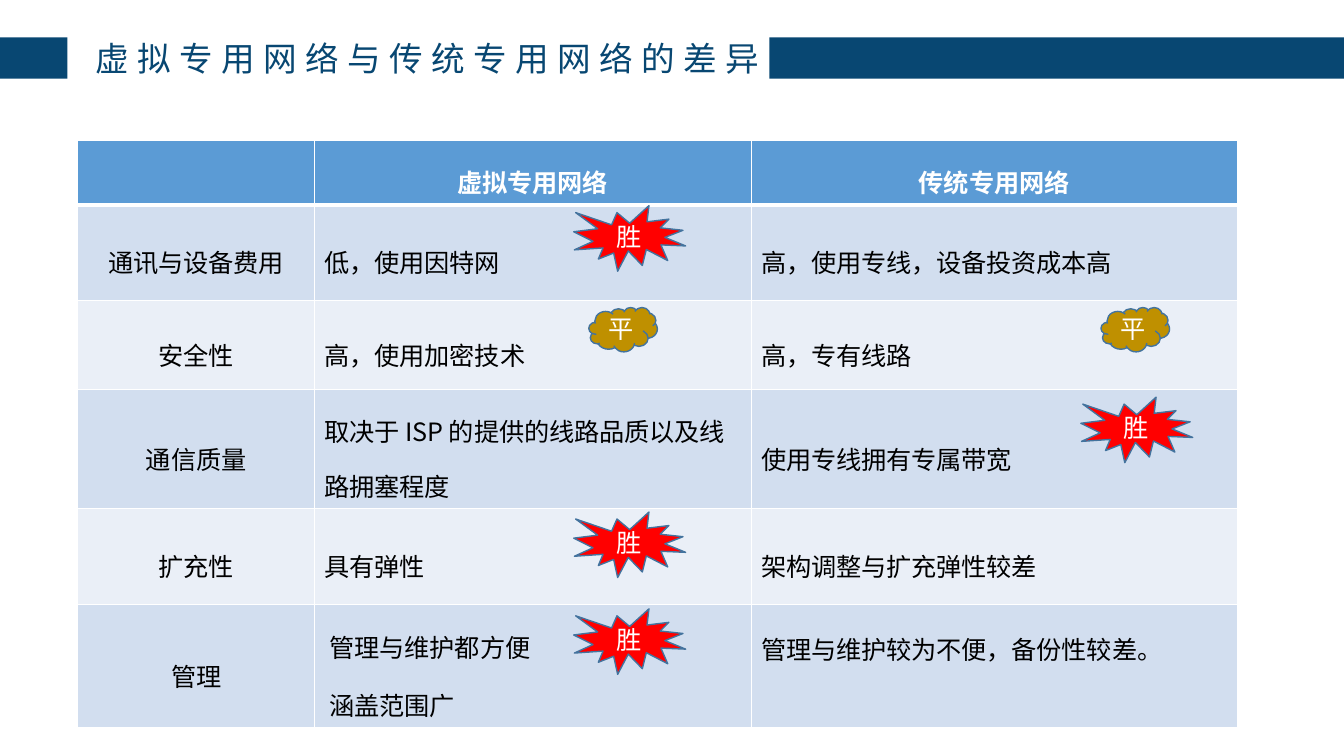
from itertools import accumulate
from lxml.etree import SubElement
from pptx import Presentation
from pptx.dml.color import RGBColor
from pptx.enum.shapes import MSO_SHAPE as Shape
from pptx.enum.text import MSO_ANCHOR as Anchor, MSO_AUTO_SIZE as AutoSize, PP_ALIGN as Align
from pptx.oxml.ns import qn
from pptx.util import Inches, Pt

# Content
TITLE = "虚拟专用网络与传统专用网络的差异"
ROWS = [
    ("", "虚拟专用网络", "传统专用网络"),
    ("通讯与设备费用", "低，使用因特网", "高，使用专线，设备投资成本高"),
    ("安全性", "高，使用加密技术", "高，专有线路"),
    ("通信质量", "取决于 ISP 的提供的线路品质以及线路拥塞程度", "使用专线拥有专属带宽"),
    ("扩充性", "具有弹性", "架构调整与扩充弹性较差"),
    ("管理", "管理与维护都方便\n涵盖范围广", "管理与维护较为不便，备份性较差。"),
]
# Verdict, row, column, and offset from the corner of that cell
VERDICTS = [
    ("胜", 1, 1, 2.57, 0.01),
    ("胜", 5, 1, 2.57, 0.05),
    ("胜", 4, 1, 2.57, 0.04),
    ("胜", 3, 2, 3.27, 0.08),
    ("平", 2, 1, 2.72, 0.07),
    ("平", 2, 2, 3.47, 0.07),
]

# Layout
WIDTH, HEIGHT = 13.33, 7.5
LEFT, TOP = 0.77, 1.39
COLUMN_WIDTHS = [2.35, 4.33, 4.82]
ROW_HEIGHTS = [0.64, 0.95, 0.88, 1.18, 0.95, 1.22]
COLUMN_LEFTS = list(accumulate(COLUMN_WIDTHS, initial=LEFT))
ROW_TOPS = list(accumulate(ROW_HEIGHTS, initial=TOP))
BAR_TOP, BAR_HEIGHT = 0.37, 0.41
BARS = [(7.63, WIDTH), (0, 0.67)]

# Style
FONT = "Noto Sans CJK SC"
NAVY = RGBColor(0x08, 0x47, 0x72)
WHITE = RGBColor(0xFF, 0xFF, 0xFF)
BLACK = RGBColor(0, 0, 0)
HEADER = RGBColor(0x5B, 0x9B, 0xD5)
BANDS = [RGBColor(0xEA, 0xEF, 0xF7), RGBColor(0xD2, 0xDE, 0xEF)]
OUTLINE = RGBColor(0x43, 0x73, 0x9E)
BADGES = {
    "胜": (Shape.EXPLOSION1, 1.11, 0.65, RGBColor(0xFF, 0, 0)),
    "平": (Shape.CLOUD, 0.68, 0.44, RGBColor(0xBF, 0x90, 0)),
}


def add_span(para, text, size, color, bold=False, spacing=0):
    span = para.add_run()
    span.text = text
    span.font.size, span.font.bold, span.font.name = Pt(size), bold, FONT
    span.font.color.rgb = color
    properties = span.font._element
    properties.set("spc", str(round(spacing * 100)))
    SubElement(properties, qn("a:ea"), typeface=FONT)


def add_shape(page, kind, left, top, width, height, fill):
    shape = page.shapes.add_shape(
        kind, Inches(left), Inches(top), Inches(width), Inches(height))
    shape.shadow.inherit = False
    shape.fill.solid()
    shape.fill.fore_color.rgb = fill
    return shape


def add_borders(cell, bottom):
    properties = cell._tc.get_or_add_tcPr()
    for place, (side, points) in enumerate(
            [("L", 1), ("R", 1), ("T", 1), ("B", bottom)]):
        line = SubElement(properties, qn(f"a:ln{side}"), w=str(Pt(points)))
        fill = SubElement(line, qn("a:solidFill"))
        SubElement(fill, qn("a:srgbClr"), val=str(WHITE))
        properties.insert(place, line)


def add_title(page):
    title = page.shapes.title
    title.left, title.top = Inches(0.59), Inches(0.33)
    title.width, title.height = Inches(7.04), Inches(0.5)
    frame = title.text_frame
    frame.auto_size, frame.word_wrap = AutoSize.NONE, True
    frame.vertical_anchor = Anchor.TOP
    para = frame.paragraphs[0]
    para.alignment, para.line_spacing = Align.RIGHT, 1.0
    para.space_before = Pt(0)
    add_span(para, TITLE, 24, NAVY, spacing=6)


def fill_cell(cell, text, row, column):
    header = row == 0
    cell.fill.solid()
    cell.fill.fore_color.rgb = HEADER if header else BANDS[row % 2]
    add_borders(cell, 3 if header else 1)
    cell.vertical_anchor = Anchor.MIDDLE
    lines = text.split("\n")
    for number, line in enumerate(lines):
        frame = cell.text_frame
        para = frame.add_paragraph() if number else frame.paragraphs[0]
        para.line_spacing = 1.5
        para.alignment = Align.CENTER if header or column == 0 else Align.LEFT
        if len(lines) > 1:
            para.space_before = Pt(2.5 if number else 5.8)
            para._p.get_or_add_pPr().set("marL", str(Inches(0.05)))
        if line:
            add_span(para, line, 18, WHITE if header else BLACK, header, -0.1)


def add_comparison(page):
    table = page.shapes.add_table(
        len(ROWS), len(COLUMN_WIDTHS), Inches(LEFT), Inches(TOP),
        Inches(sum(COLUMN_WIDTHS)), Inches(sum(ROW_HEIGHTS))).table
    for column, width in zip(table.columns, COLUMN_WIDTHS):
        column.width = Inches(width)
    for row, height in zip(table.rows, ROW_HEIGHTS):
        row.height = Inches(height)
    for row, texts in enumerate(ROWS):
        for column, text in enumerate(texts):
            fill_cell(table.cell(row, column), text, row, column)
    # The last remark sits level with the first line beside it
    table.cell(5, 2).margin_bottom = Inches(0.58)


def add_badge(page, verdict, row, column, across, down):
    kind, width, height, fill = BADGES[verdict]
    badge = add_shape(page, kind, COLUMN_LEFTS[column] + across,
                      ROW_TOPS[row] + down, width, height, fill)
    badge.line.color.rgb, badge.line.width = OUTLINE, Pt(1)
    frame = badge.text_frame
    frame.word_wrap = False
    frame.margin_left = frame.margin_right = 0
    frame.margin_top = frame.margin_bottom = 0
    frame.vertical_anchor = Anchor.MIDDLE
    para = frame.paragraphs[0]
    para.alignment = Align.CENTER
    add_span(para, verdict, 18, WHITE)


def main():
    deck = Presentation()
    deck.slide_width, deck.slide_height = Inches(WIDTH), Inches(HEIGHT)
    page = deck.slides.add_slide(deck.slide_layouts[5])
    add_title(page)
    add_comparison(page)
    for verdict in VERDICTS:
        add_badge(page, *verdict)
    for start, end in BARS:
        bar = add_shape(page, Shape.RECTANGLE, start, BAR_TOP,
                        end - start, BAR_HEIGHT, NAVY)
        bar.line.fill.background()
    deck.save("out.pptx")


if __name__ == "__main__":
    main()
